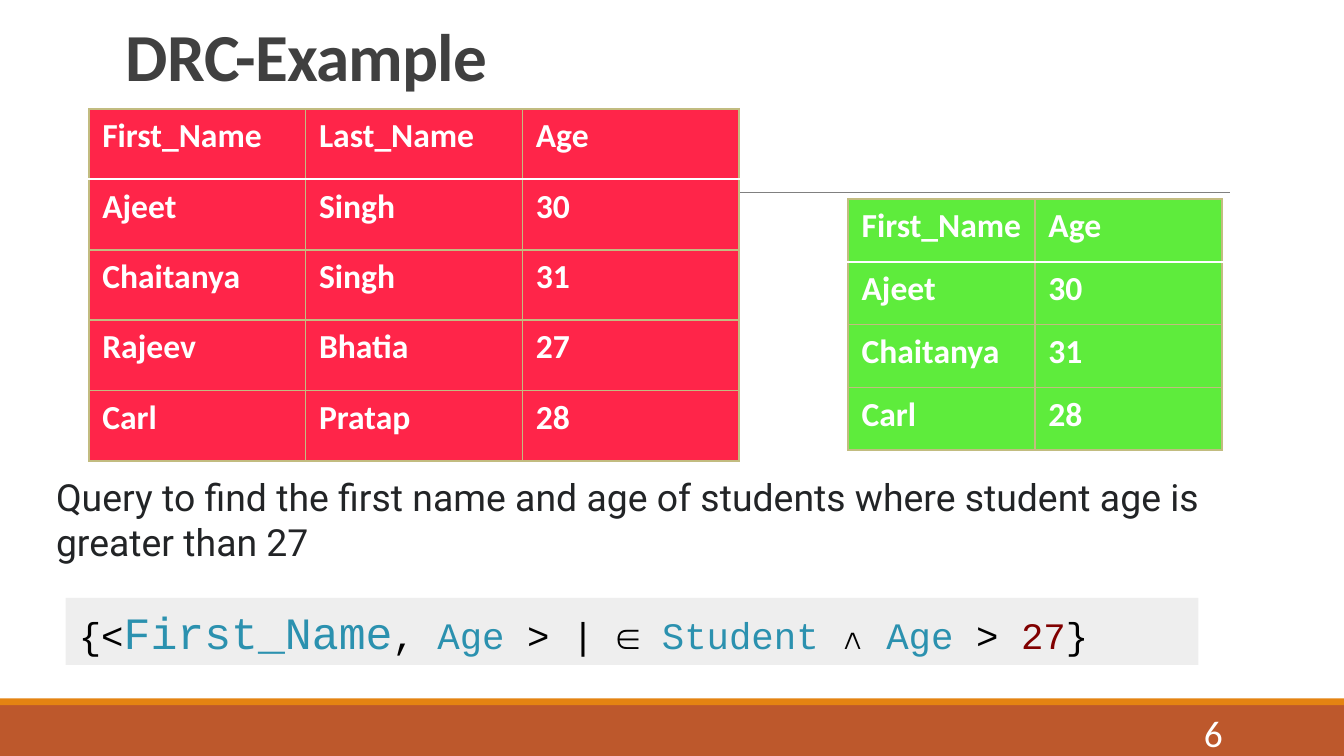
from lxml import etree
from pptx import Presentation
from pptx.dml.color import RGBColor
from pptx.enum import shapes, text
from pptx.oxml import ns
from pptx.util import Cm, Pt

WHITE = RGBColor(0xFF, 0xFF, 0xFF)
BLACK = RGBColor(0x00, 0x00, 0x00)
RUST = RGBColor(0xBD, 0x58, 0x2C)
ORANGE = RGBColor(0xE4, 0x83, 0x12)
GREY = RGBColor(0x80, 0x80, 0x80)
TITLE_GREY = RGBColor(0x40, 0x40, 0x40)
INK = RGBColor(0x22, 0x24, 0x26)
RED = RGBColor(0xFF, 0x25, 0x49)
GREEN = RGBColor(0x5E, 0xEC, 0x3C)
TAN = RGBColor(0xC2, 0xBC, 0x80)
CODE_BG = RGBColor(0xEE, 0xEE, 0xEE)
TEAL = RGBColor(0x2B, 0x91, 0xAF)
MAROON = RGBColor(0x80, 0x00, 0x00)

STUDENTS = [
    ("First_Name", "Last_Name", "Age"),
    ("Ajeet", "Singh", "30"),
    ("Chaitanya", "Singh", "31"),
    ("Rajeev", "Bhatia", "27"),
    ("Carl", "Pratap", "28"),
]
RESULT = [
    ("First_Name", "Age"),
    ("Ajeet", "30"),
    ("Chaitanya", "31"),
    ("Carl", "28"),
]
QUERY = [
    ("{<", 20, BLACK), ("First_Name", 24, TEAL), (", ", 20, BLACK),
    ("Age", 20, TEAL), (" > | ∈ ", 20, BLACK), ("Student", 20, TEAL),
    (" ∧ ", 20, BLACK), ("Age", 20, TEAL), (" > ", 20, BLACK),
    ("27", 20, MAROON), ("}", 20, BLACK),
]


def add_run(p, words, size, color, font="Calibri", bold=False):
    r = p.add_run()
    r.text = words
    r.font.size, r.font.name, r.font.bold = Pt(size), font, bold
    r.font.color.rgb = color
    return r


def add_rect(s, box, color):
    sp = s.shapes.add_shape(shapes.MSO_SHAPE.RECTANGLE, *map(Cm, box))
    sp.shadow.inherit = False
    sp.fill.solid()
    sp.fill.fore_color.rgb = color
    sp.line.fill.background()
    return sp


def add_text(s, box, words, size, color, font="Calibri", bold=False,
             anchor=text.MSO_ANCHOR.TOP):
    tf = s.shapes.add_textbox(*map(Cm, box)).text_frame
    tf.word_wrap = True
    tf.vertical_anchor = anchor
    p = tf.paragraphs[0]
    return p, add_run(p, words, size, color, font, bold)


def add_border(cell, side, color, width):
    tcPr = cell._tc.get_or_add_tcPr()
    ln = etree.SubElement(tcPr, ns.qn(f"a:ln{side}"), w=str(Pt(width)))
    fill = etree.SubElement(ln, ns.qn("a:solidFill"))
    etree.SubElement(fill, ns.qn("a:srgbClr"), val=str(color))


def add_relation(s, box, rows, color):
    """Table with a white rule under its header row."""
    table = s.shapes.add_table(len(rows), len(rows[0]), *map(Cm, box)).table
    for i, row in enumerate(rows):
        table.rows[i].height = Cm(box[3] / len(rows))
        for j, words in enumerate(row):
            cell = table.cell(i, j)
            for side in "LRTB":
                header_rule = (i, side) in ((0, "B"), (1, "T"))
                add_border(cell, side, *((WHITE, 1.25) if header_rule else (TAN, 1)))
            cell.fill.solid()
            cell.fill.fore_color.rgb = color
            add_run(cell.text_frame.paragraphs[0], words, 18, WHITE, bold=True)


def add_footer(s, box, number):
    left, top, width, height = box
    add_rect(s, box, RUST)
    add_rect(s, (left, top - 0.13, width, 0.13), ORANGE)
    p, _ = add_text(s, (left + 20.62, top + 0.13, 2.74, 0.76), number, 20, WHITE,
                    anchor=text.MSO_ANCHOR.MIDDLE)
    p.alignment = text.PP_ALIGN.RIGHT


def add_rule(s, left, right, y):
    line = s.shapes.add_connector(shapes.MSO_CONNECTOR.STRAIGHT,
                                  Cm(left), Cm(y), Cm(right), Cm(y))
    line.line.color.rgb = GREY
    line.line.width = Pt(0.5)
    etree.SubElement(line._element.spPr, ns.qn("a:effectLst"))


def add_title(s, box, words):
    p, r = add_text(s, box, words, 36, TITLE_GREY, bold=True,
                    anchor=text.MSO_ANCHOR.BOTTOM)
    p.line_spacing = 0.85
    r.font._element.set("spc", "-40")


def add_code(s, box, runs):
    tf = add_rect(s, box, CODE_BG).text_frame
    tf.word_wrap = True
    tf.vertical_anchor = text.MSO_ANCHOR.MIDDLE
    p = tf.paragraphs[0]
    p.alignment = text.PP_ALIGN.LEFT
    for words, size, color in runs:
        add_run(p, words, size, color, "Courier New")


def main():
    prs = Presentation()
    prs.slide_width, prs.slide_height = Cm(25.4), Cm(14.29)
    s = prs.slides.add_slide(prs.slide_layouts[6])

    # Frame
    add_footer(s, (0, 13.33, 25.4, 0.96), "6")
    add_rule(s, 2.49, 23.24, 3.63)
    add_title(s, (2.13, 0.36, 20.96, 1.57), "DRC-Example")

    # Source relation and query result
    add_relation(s, (1.68, 2.06, 12.29, 6.65), STUDENTS, RED)
    add_relation(s, (16.03, 3.76, 7.06, 4.75), RESULT, GREEN)

    # Question and its query
    add_text(s, (0.81, 8.84, 24.18, 1.96),
             "Query to find the first name and age of students "
             "where student age is greater than 27", 20, INK, "Roboto")
    add_code(s, (1.24, 11.3, 21.41, 1.27), QUERY)

    prs.save("out.pptx")


if __name__ == "__main__":
    main()
